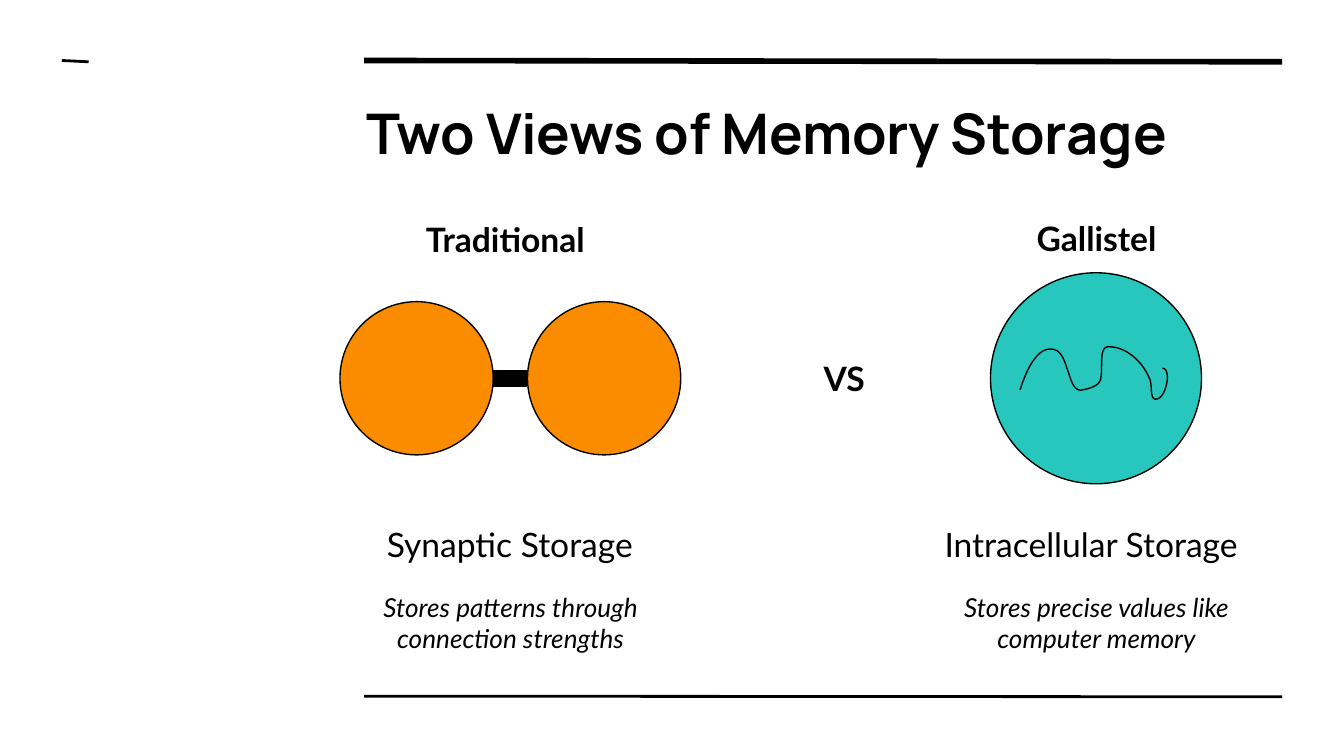
import pptx
import pptx.util
import pptx.dml.color
import pptx.enum.shapes
import pptx.enum.text
import pptx.oxml.ns
import lxml.etree

HUES = {"ink": "000000", "cell": "FB8C00", "store": "27C7BD"}
Pt = pptx.util.Pt
ALIGN = pptx.enum.text.PP_ALIGN
KIND = pptx.enum.shapes.MSO_SHAPE

deck = pptx.Presentation()
deck.slide_width = pptx.util.Inches(10)
deck.slide_height = deck.slide_width * 9 // 16
slide = deck.slides.add_slide(deck.slide_layouts[5])
shapes = slide.shapes
unit = deck.slide_width // 100  # all lengths are hundredths of the slide width


def hue(name):
    return pptx.dml.color.RGBColor.from_string(HUES[name])


def write(box, words, face, size, align, bold=False, slant=False):
    """Fill a text box or placeholder with one evenly styled paragraph."""
    frame = box.text_frame
    frame.word_wrap = True
    frame.auto_size = pptx.enum.text.MSO_AUTO_SIZE.NONE
    frame.vertical_anchor = pptx.enum.text.MSO_ANCHOR.TOP
    frame.margin_left = frame.margin_right = unit
    frame.margin_top = frame.margin_bottom = unit
    frame.text = words
    para = frame.paragraphs[0]
    para.alignment = align
    font = para.font
    font.name, font.size, font.bold, font.italic = face, Pt(size), bold, slant
    font.color.rgb = hue("ink")


# Title
title = shapes.title
title.left, title.top = int(26.25 * unit), int(6.3 * unit)
title.width, title.height = int(69.1 * unit), int(6.9 * unit)
write(title, "Two Views of Memory Storage", "Manrope", 30, ALIGN.LEFT, bold=True)

# Page rules and the synapse: start, end, their heights, weight
mid = 28.15
rules = [
    (27.1, 95.4, 4.5, 4.6, 3),
    (27.1, 95.4, 51.8, 51.85, 1.5),
    (4.6, 6.6, 4.5, 4.6, 1.5),
    (36.7, 39.2, mid, mid, 9),
]
for start, end, high, low, weight in rules:
    rule = shapes.add_connector(
        pptx.enum.shapes.MSO_CONNECTOR.STRAIGHT,
        int(start * unit), int(high * unit), int(end * unit), int(low * unit))
    rule.line.color.rgb = hue("ink")
    rule.line.width = Pt(weight)
    lxml.etree.SubElement(rule.element.spPr, pptx.oxml.ns.qn("a:effectLst"))

# Cells, all centred on one line: left, width, colour
for left, wide, tint in [(25.3, 11.4, "cell"), (39.25, 11.4, "cell"), (73.7, 15.7, "store")]:
    cell = shapes.add_shape(
        KIND.OVAL, int(left * unit), int((mid - wide / 2) * unit),
        int(wide * unit), int(wide * unit))
    cell.shadow.inherit = False
    cell.fill.solid()
    cell.fill.fore_color.rgb = hue(tint)
    cell.line.color.rgb = hue("ink")
    cell.line.width = Pt(0.75)

# Strand inside the cell: cubic curves, each as two handles and an end
origin = (75.9, 29)
curves = [
    ((76.3, 27.8), (77.1, 25.7), (78.4, 26)),
    ((79.6, 26.2), (79.4, 29.4), (80.6, 29)),
    ((81.1, 28.9), (81.8, 28.7), (81.9, 28.2)),
    ((82.1, 27.4), (81.7, 25.8), (82.5, 25.8)),
    ((83.8, 25.8), (85, 26.9), (85.5, 28.1)),
    ((85.8, 28.6), (85.5, 29.7), (86, 29.7)),
    ((86.8, 29.7), (87.2, 27.4), (86.5, 27.4)),
]
steps = 16
points = []
pen = origin
for one, two, end in curves:
    for step in range(1, steps + 1):
        t = step / steps
        s = 1 - t
        points.append(tuple(
            s**3 * a + 3 * s * s * t * b + 3 * s * t * t * c + t**3 * d
            for a, b, c, d in zip(pen, one, two, end)))
    pen = end
trace = shapes.build_freeform(
    int(origin[0] * unit), int(origin[1] * unit), scale=1.0)
trace.add_line_segments([(int(x * unit), int(y * unit)) for x, y in points], close=False)
strand = trace.convert_to_shape()
strand.shadow.inherit = False
strand.fill.background()
strand.line.color.rgb = hue("ink")
strand.line.width = Pt(0.75)

# Labels: words, left, top, width, height, size, align, bold, slant
labels = [
    ("Traditional", 30.7, 15.3, 14.6, 5, 18, ALIGN.LEFT, True, False),
    ("Gallistel", 74.3, 15.2, 14.6, 5, 18, ALIGN.CENTER, True, False),
    ("VS", 60.3, 25.65, 5.9, 5, 18, ALIGN.LEFT, True, False),
    ("Synaptic Storage", 27.8, 38, 20.4, 5, 18, ALIGN.LEFT, False, False),
    ("Intracellular Storage", 69.3, 38, 24.6, 5, 18, ALIGN.LEFT, False, False),
    ("Stores patterns through connection strengths",
     25.7, 43, 24.6, 6.7, 14, ALIGN.CENTER, False, True),
    ("Stores precise values like computer memory",
     69.3, 43, 24.6, 6.7, 14, ALIGN.CENTER, False, True),
]
for words, left, top, wide, high, size, align, bold, slant in labels:
    label = shapes.add_textbox(
        int(left * unit), int(top * unit), int(wide * unit), int(high * unit))
    write(label, words, "Lato", size, align, bold, slant)

deck.save("out.pptx")
